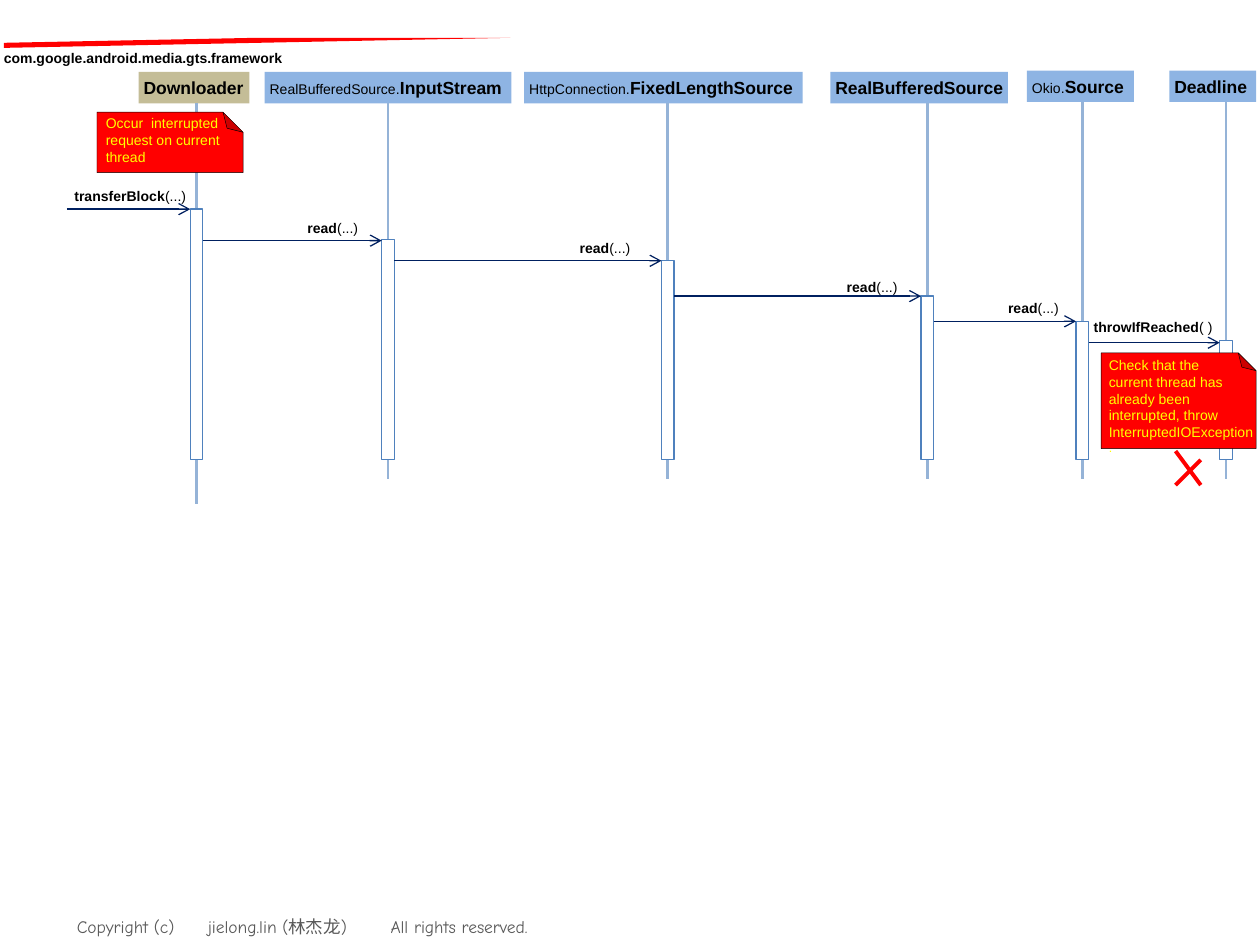
from pptx import Presentation
from pptx.dml.color import RGBColor
from pptx.enum.shapes import MSO_CONNECTOR, MSO_SHAPE
from pptx.enum.text import MSO_ANCHOR, PP_ALIGN
from pptx.oxml.ns import qn
from pptx.util import Inches, Pt
from lxml.etree import SubElement

RED = RGBColor(0xFF, 0, 0)
YELLOW = RGBColor(0xFF, 0xFF, 0)
BLACK = RGBColor(0, 0, 0)
WHITE = RGBColor(0xFF, 0xFF, 0xFF)
GREY = RGBColor(0x59, 0x59, 0x59)
TAN = RGBColor(0xC4, 0xBD, 0x97)
SKY = RGBColor(0x8E, 0xB4, 0xE3)
STEEL = RGBColor(0x95, 0xB3, 0xD7)
BLUE = RGBColor(0x4F, 0x81, 0xBD)
NAVY = RGBColor(0, 0x20, 0x60)

HEAD = 0.25
BAR = 0.1
FOOT = 3.65

ACTORS = [
    ("", "Downloader", 1.1, 0.57, 0.88, 1.56, 4, 1.66),
    ("RealBufferedSource.", "InputStream", 2.1, 0.57, 1.96, 3.08, 3.8, 1.9),
    ("HttpConnection.", "FixedLengthSource", 4.16, 0.57, 2.21, 5.3, 3.8, 2.07),
    ("", "RealBufferedSource", 6.59, 0.57, 1.41, 7.36, 3.8, 2.35),
    ("Okio.", "Source", 8.15, 0.56, 0.85, 8.59, 3.8, 2.55),
    ("", "Deadline", 9.28, 0.56, 0.69, 9.73, 3.8, 2.7),
]
CALLS = [
    ("transferBlock", "(...)", 0.59, 1.49, 0.91, 1.66),
    ("read", "(...)", 2.44, 1.74, 0.48, 1.91),
    ("read", "(...)", 4.6, 1.9, 0.48, 2.07),
    ("read", "(...)", 6.72, 2.21, 0.48, 2.35),
    ("read", "(...)", 8, 2.38, 0.49, 2.55),
    ("throwIfReached", "( )", 8.68, 2.53, 0.98, 2.72),
]


def write(shape, lines, font="Arial", color=BLACK, inset=(0, 0, 0, 0.04), tabs=()):
    frame = shape.text_frame
    frame.word_wrap = True
    frame.vertical_anchor = MSO_ANCHOR.TOP
    (frame.margin_left, frame.margin_top,
     frame.margin_right, frame.margin_bottom) = map(Inches, inset)
    for i, runs in enumerate(lines):
        para = frame.add_paragraph() if i else frame.paragraphs[0]
        para.alignment = PP_ALIGN.LEFT
        if tabs:
            stops = SubElement(para._p.get_or_add_pPr(), qn("a:tabLst"))
            for pos in tabs:
                SubElement(stops, qn("a:tab"), pos=str(Inches(pos)), algn="l")
        for text, size, bold in runs:
            run = para.add_run()
            run.text = text
            run.font.name = font
            run.font.size = Pt(size)
            run.font.bold = bold
            run.font.color.rgb = color


def label(shapes, box, lines, **style):
    write(shapes.add_textbox(*map(Inches, box)), lines, **style)


def block(shapes, kind, box, fill, edge=None, width=0.75):
    shape = shapes.add_shape(kind, *map(Inches, box))
    shape.shadow.inherit = False
    shape.fill.solid()
    shape.fill.fore_color.rgb = fill
    if edge is None:
        shape.line.fill.background()
    else:
        shape.line.color.rgb = edge
        shape.line.width = Pt(width)
    return shape


def line(shapes, ends, color, width, arrow=False):
    link = shapes.add_connector(MSO_CONNECTOR.STRAIGHT, *map(Inches, ends))
    link.line.color.rgb = color
    link.line.width = Pt(width)
    props = link._element.spPr
    if arrow:
        SubElement(props.find(qn("a:ln")), qn("a:tailEnd"), type="arrow")
    SubElement(props, qn("a:effectLst"))
    return link


def note(shapes, box, fold, area, lines):
    group = shapes.add_group_shape().shapes
    page = block(group, MSO_SHAPE.FOLDED_CORNER, box, RED, BLACK, 0.25)
    page.rotation = 180
    props = page._element.spPr
    props.find(qn("a:xfrm")).set("flipH", "1")
    guides = props.find(qn("a:prstGeom")).find(qn("a:avLst"))
    SubElement(guides, qn("a:gd"), name="adj", fmla=f"val {round(fold * 100000)}")
    label(group, area, lines, color=YELLOW, inset=(0, 0, 0, 0))


def actor(shapes, prefix, name, left, top, width, mid, end, start):
    head = block(shapes, MSO_SHAPE.RECTANGLE, (left, top, width, HEAD),
                 SKY if left > 2 else TAN)
    runs = [(prefix, 8, False)] if prefix else []
    write(head, [runs + [(name, 10, True)]], inset=(0.04, 0.04, 0, 0.04))
    life = line(shapes, (mid, top + HEAD, mid, end), STEEL, 1.5)
    if abs(left + width / 2 - mid) < 0.01:
        life.begin_connect(head, 2)
    block(shapes, MSO_SHAPE.RECTANGLE,
          (mid - BAR / 2, start, BAR, FOOT - start), WHITE, BLUE)


def call(shapes, name, args, left, top, width, y, start, end):
    line(shapes, (start, y, end, y), NAVY, 0.75, arrow=True)
    label(shapes, (left, top, width, 0.17), [[(name, 8, True), (args, 8, False)]])


def main():
    deck = Presentation()
    deck.slide_width, deck.slide_height = Inches(10), Inches(7.5)
    shapes = deck.slides.add_slide(deck.slide_layouts[6]).shapes

    label(shapes, (0, 7.22, 4.84, 0.27),
          [[("Copyright (c)\tjielong.lin (林杰龙)\tAll rights reserved.", 10, False)]],
          font="Comic Neue", color=GREY, inset=(0.61, 0.05, 0.1, 0.05),
          tabs=(1.04, 2.49))
    pen = shapes.build_freeform(Inches(0.03), Inches(0.34))
    pen.add_line_segments([(Inches(x), Inches(y)) for x, y in
                           ((2.04, 0.3), (4.05, 0.3), (0.03, 0.38))])
    wedge = pen.convert_to_shape()
    wedge.shadow.inherit = False
    wedge.fill.solid()
    wedge.fill.fore_color.rgb = RED
    wedge.line.fill.background()
    label(shapes, (0.03, 0.39, 2.25, 0.17),
          [[("com.google.android.media.gts.framework", 8, True)]])

    for item in ACTORS:
        actor(shapes, *item)
    mids = [item[5] for item in ACTORS]
    starts = [0.53] + [mid + BAR / 2 for mid in mids]
    for item, start, mid in zip(CALLS, starts, mids):
        call(shapes, *item, start, mid - BAR / 2)

    note(shapes, (8.74, 2.8, 1.23, 0.76), 0.187, (8.8, 2.83, 1.17, 0.78),
         [[("Check that the", 8, False)], [("current thread has", 8, False)],
          [("already been interrupted, throw InterruptedIOException", 8, False),
           (".", 7, False)]])
    note(shapes, (0.77, 0.89, 1.16, 0.48), 0.332, (0.84, 0.91, 0.94, 0.4),
         [[(text, 8, False)] for text in
          ("Occur  interrupted", "request on current", "thread")])
    for top, end in ((3.58, 3.85), (3.85, 3.65)):
        line(shapes, (9.33, top, 9.53, end), RED, 2.25)
    deck.save("out.pptx")


if __name__ == "__main__":
    main()
